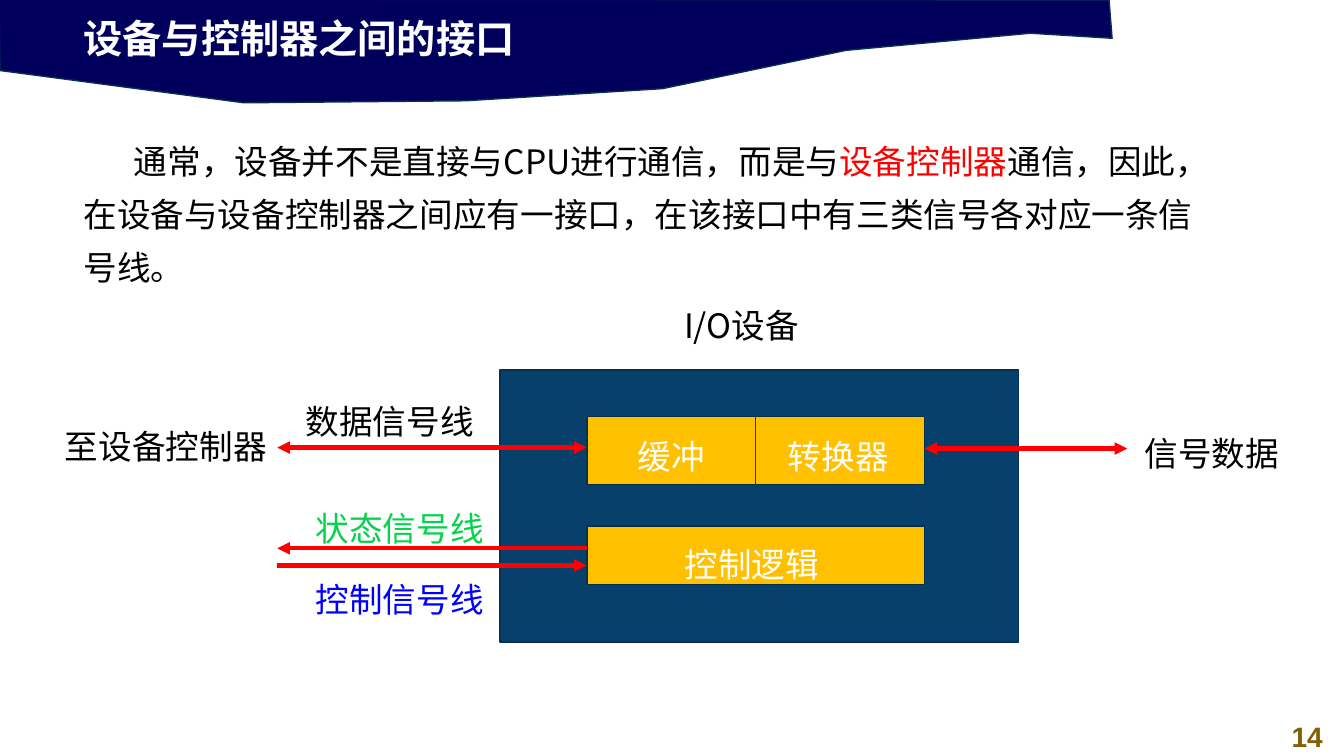
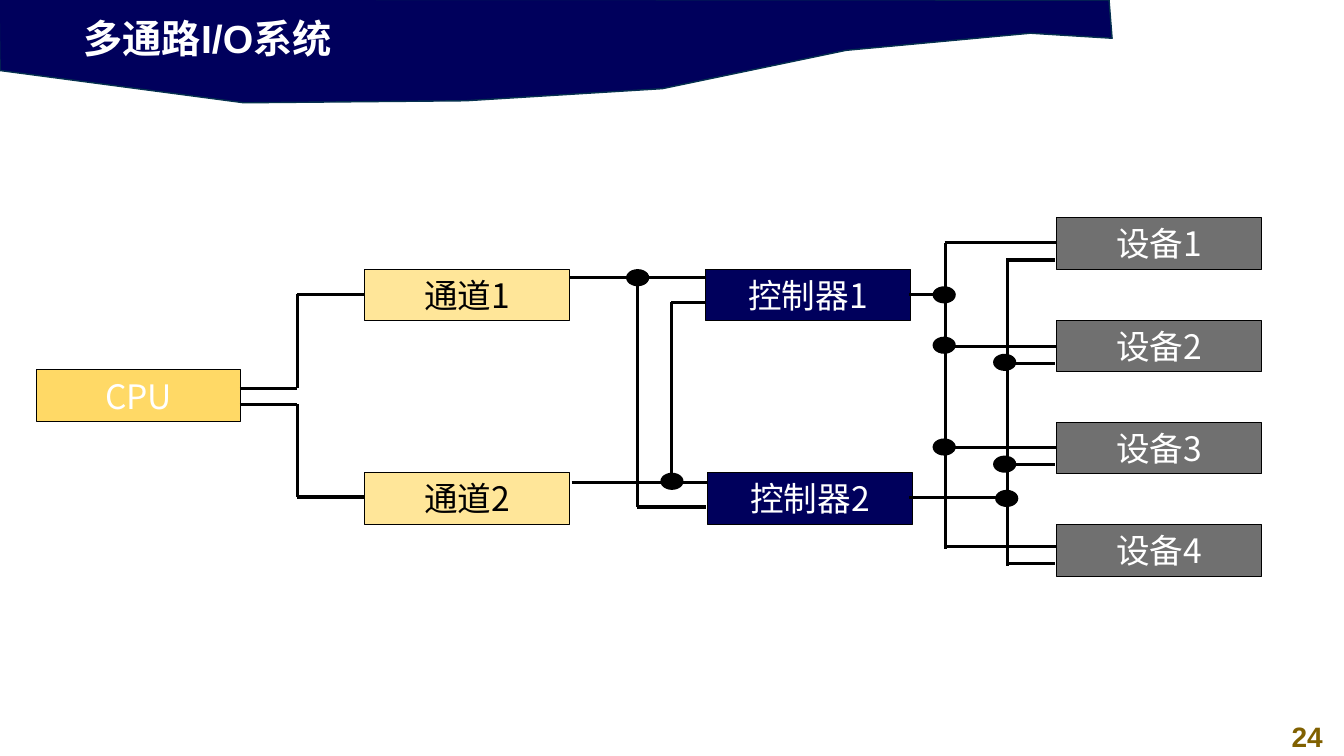
import pptx
import pptx.dml.color
import pptx.enum.shapes
import pptx.enum.text
import pptx.oxml
import pptx.oxml.ns
import pptx.util

Inches = pptx.util.Inches
Pt = pptx.util.Pt
RGBColor = pptx.dml.color.RGBColor
Shape = pptx.enum.shapes.MSO_SHAPE
Align = pptx.enum.text.PP_ALIGN
Anchor = pptx.enum.text.MSO_ANCHOR
qn = pptx.oxml.ns.qn

NAVY = RGBColor(0x00, 0x00, 0x5C)
DEEP_BLUE = RGBColor(0x07, 0x41, 0x6B)
EDGE_BLUE = RGBColor(0x05, 0x30, 0x4F)
WHITE = RGBColor(0xFF, 0xFF, 0xFF)
BLACK = RGBColor(0x00, 0x00, 0x00)
RED = RGBColor(0xFF, 0x00, 0x00)
GREEN = RGBColor(0x06, 0xD2, 0x4C)
BLUE = RGBColor(0x00, 0x00, 0xFF)
AMBER = RGBColor(0xFF, 0xC0, 0x00)
GOLD = RGBColor(0xFF, 0xD9, 0x66)
CREAM = RGBColor(0xFF, 0xE6, 0x99)
GRAY = RGBColor(0x70, 0x70, 0x70)
BROWN = RGBColor(0x80, 0x60, 0x00)

TITLE_FONT = "Arial"
BODY_FONT = "Noto Sans CJK SC"
TITLE_FORMAT = {"name": TITLE_FONT, "size": Pt(28), "bold": True}
NUMBER_FORMAT = {"name": TITLE_FONT, "size": Pt(20), "bold": True}
BODY_FORMAT = {"name": BODY_FONT, "size": Pt(24)}
LABEL_SPACING = {"alignment": Align.CENTER, "line_spacing": 1.32, "space_after": Pt(6)}

BAND_POINTS = [(-0.01, -0.01), (0, 0.7), (2.42, 1.02), (4.62, 1), (6.57, 0.88),
               (8.39, 0.5), (10.22, 0.33), (11.03, 0.38), (11, 0)]


def set_values(target, values):
    for name, value in values.items():
        setattr(target, name, value)


def add_span(para, text, color, values):
    span = para.add_run()
    span.text = text
    set_values(span.font, values)
    span.font.color.rgb = color
    east_asian = pptx.oxml.parse_xml(
        f'<a:ea {pptx.oxml.ns.nsdecls("a")} typeface="{BODY_FONT}"/>')
    span.font._element.append(east_asian)


def add_text(page, area, spans, values=BODY_FORMAT, spacing=LABEL_SPACING):
    box = page.shapes.add_textbox(*map(Inches, area))
    box.text_frame.word_wrap = True
    para = box.text_frame.paragraphs[0]
    set_values(para, spacing)
    for text, color in spans:
        add_span(para, text, color, values)
    return box


def paint(shape, fill, edge=None, width=1):
    shape.shadow.inherit = False
    shape.fill.solid()
    shape.fill.fore_color.rgb = fill
    if edge is None:
        shape.line.fill.background()
    else:
        shape.line.color.rgb = edge
        shape.line.width = Pt(width)


def add_block(page, area, fill, edge=EDGE_BLUE, width=1, kind=Shape.RECTANGLE):
    block = page.shapes.add_shape(kind, *map(Inches, area))
    paint(block, fill, edge, width)
    return block


def add_node(page, left, top, text, fill, color=WHITE):
    node = add_block(page, (left, top, 2.03, 0.51), fill, BLACK, 0.75)
    set_values(node.text_frame, {"word_wrap": False, "vertical_anchor": Anchor.MIDDLE})
    para = node.text_frame.paragraphs[0]
    para.alignment = Align.CENTER
    add_span(para, text, color, BODY_FORMAT)


def add_line(page, x1, y1, x2, y2, color=BLACK, width=2.25, arrows=()):
    line = page.shapes.add_connector(
        pptx.enum.shapes.MSO_CONNECTOR.STRAIGHT, *map(Inches, (x1, y1, x2, y2)))
    line.line.color.rgb = color
    line.line.width = Pt(width)
    properties = line.element.spPr
    outline = properties.find(qn("a:ln"))
    for end in arrows:
        arrow = pptx.oxml.parse_xml(
            f'<a:{end} {pptx.oxml.ns.nsdecls("a")} type="triangle"/>')
        outline.append(arrow)
    properties.append(pptx.oxml.parse_xml(
        f'<a:effectLst {pptx.oxml.ns.nsdecls("a")}/>'))


def add_wire(page, *points):
    for start, end in zip(points, points[1:]):
        add_line(page, *start, *end)


def add_joint(page, x, y):
    add_block(page, (x - 0.11, y - 0.08, 0.23, 0.17), BLACK, None, kind=Shape.OVAL)


def add_band(page):
    points = [(Inches(x), Inches(y)) for x, y in BAND_POINTS]
    builder = page.shapes.build_freeform(*points[0], scale=1.0)
    builder.add_line_segments(points[1:], close=True)
    band = builder.convert_to_shape()
    paint(band, NAVY, EDGE_BLUE)
    band.element.nvSpPr.cNvPr.id = 20
    page.slide_layout.shapes.element.insert(2, band.element)


def add_page(deck, title, number):
    page = deck.slides.add_slide(deck.slide_layouts[5])
    box = page.shapes.title
    set_values(box, {"left": Inches(0.73), "top": Inches(0.09),
                     "width": Inches(7.68), "height": Inches(0.57)})
    set_values(box.text_frame, {"word_wrap": True, "vertical_anchor": Anchor.TOP,
                                "auto_size": pptx.enum.text.MSO_AUTO_SIZE.NONE})
    para = box.text_frame.paragraphs[0]
    para.alignment = Align.LEFT
    add_span(para, title, WHITE, TITLE_FORMAT)
    add_text(page, (12.6, 7.09, 0.73, 0.44), [(number, BROWN)], NUMBER_FORMAT,
             {"alignment": Align.CENTER})
    return page


def build_interface(page):
    intro = add_text(page, (0.73, 1.22, 11.4, 1.24), [
        ("通常，设备并不是直接与CPU进行通信，而是与", BLACK),
        ("设备控制器", RED),
        ("通信，因此，在设备与设备控制器之间应有一接口，"
         "在该接口中有三类信号各对应一条信号线。", BLACK),
    ], spacing={"line_spacing": 1.32, "space_after": Pt(6)})
    intro.text_frame.paragraphs[0]._p.get_or_add_pPr().set("indent", str(Inches(0.5)))

    for area, fill in [
        ((4.96, 3.67, 5.14, 2.7), DEEP_BLUE),
        ((5.82, 4.13, 3.35, 0.68), AMBER),
        ((5.82, 5.22, 3.35, 0.58), AMBER),
    ]:
        add_block(page, area, fill)
    add_line(page, 7.49, 4.13, 7.49, 4.88, DEEP_BLUE, 0.5)

    both = ("headEnd", "tailEnd")
    for x1, x2, y, arrows in [
        (9.17, 11.18, 4.45, both),
        (2.75, 5.82, 4.44, both),
        (5.82, 2.75, 5.44, both[1:]),
        (2.75, 5.82, 5.61, both[1:]),
    ]:
        add_line(page, x1, y, x2, y, RED, 3, arrows)

    for text, color, area in [
        ("I/O设备", BLACK, (6.32, 2.85, 2.07, 0.71)),
        ("缓冲", WHITE, (5.82, 4.15, 1.68, 0.66)),
        ("转换器", WHITE, (7.46, 4.15, 1.71, 0.66)),
        ("控制逻辑", WHITE, (6.42, 5.22, 2.07, 0.58)),
        ("信号数据", BLACK, (11.18, 4.12, 1.68, 0.71)),
        ("数据信号线", BLACK, (2.87, 3.8, 1.99, 0.71)),
        ("至设备控制器", BLACK, (0.51, 4.05, 2.27, 0.71)),
        ("状态信号线", GREEN, (2.97, 4.86, 1.99, 0.71)),
        ("控制信号线", BLUE, (2.97, 5.57, 1.99, 0.55)),
    ]:
        add_text(page, area, [(text, color)])


def build_channels(page):
    add_node(page, 0.36, 3.67, "CPU", GOLD)
    for index, (top, controller_left) in enumerate([(2.67, 7), (4.69, 7.02)], 1):
        add_node(page, 3.62, top, f"通道{index}", CREAM, BLACK)
        add_node(page, controller_left, top, f"控制器{index}", NAVY)
    for index in range(4):
        add_node(page, 10.48, 2.16 + 1.015 * index, f"设备{index + 1}", GRAY)

    for route in [
        [(2.38, 3.85), (2.95, 3.85), (2.95, 2.92), (3.62, 2.92)],
        [(2.38, 4.01), (2.95, 4.01), (2.95, 4.93), (3.62, 4.93)],
        [(5.65, 2.75), (7, 2.75)],
        [(6.32, 2.75), (6.32, 5.03), (7, 5.03)],
        [(5.67, 4.79), (7.02, 4.79)],
        [(6.66, 4.78), (6.66, 3), (7, 3)],
        [(9.02, 2.92), (9.36, 2.92)],
        [(9.02, 4.94), (10.03, 4.94)],
        [(9.38, 2.41), (9.38, 5.45)],
        [(9.99, 2.58), (9.99, 5.62)],
    ]:
        add_wire(page, *route)
    for y in (2.41, 3.44, 4.44, 5.42):
        add_wire(page, (9.37, y), (10.48, y))
        add_wire(page, (9.98, y + 0.17), (10.46, y + 0.17))

    for x, y in [(6.32, 2.75), (6.66, 4.77), (9.36, 2.92), (9.36, 3.42),
                 (9.36, 4.43), (9.96, 3.59), (9.96, 4.6), (9.98, 4.94)]:
        add_joint(page, x, y)


def main():
    deck = pptx.Presentation()
    deck.slide_width = Inches(13.33)
    deck.slide_height = Inches(7.5)
    interface = add_page(deck, "设备与控制器之间的接口", "14")
    add_band(interface)
    build_interface(interface)
    build_channels(add_page(deck, "多通路I/O系统", "24"))
    deck.save("out.pptx")


if __name__ == "__main__":
    main()
